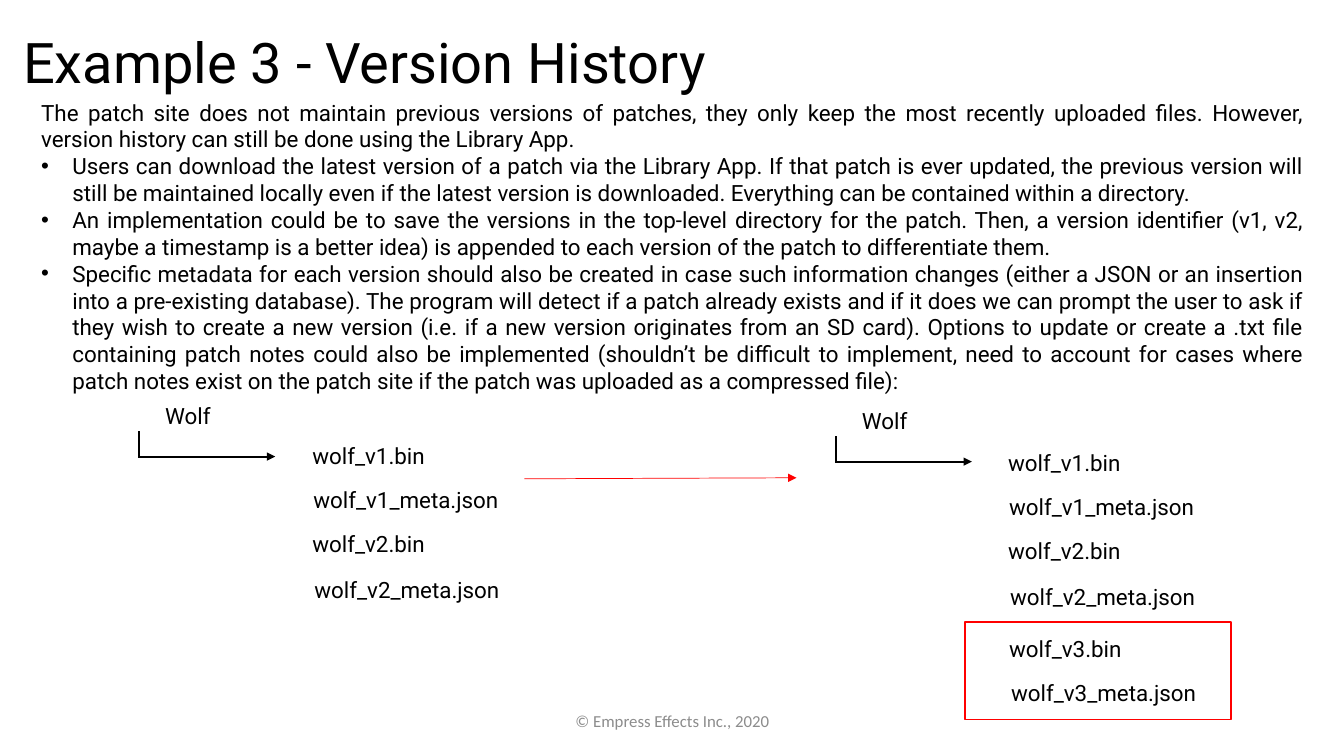
from dataclasses import dataclass

import pptx
import pptx.dml.color
import pptx.enum.shapes
import pptx.enum.text
import pptx.oxml.ns
import pptx.util
from lxml import etree

Inches = pptx.util.Inches
Align = pptx.enum.text.PP_ALIGN
Anchor = pptx.enum.text.MSO_ANCHOR
qn = pptx.oxml.ns.qn


@dataclass(frozen=True)
class Theme:
    font: str = "Roboto"
    footer_font: str = "Calibri"
    ink: str = "000000"
    accent: str = "FF0000"
    muted: str = "8C8C8C"
    title_size: int = 40
    body_size: int = 16
    footer_size: int = 12


THEME = Theme()

INTRO = (
    "The patch site does not maintain previous versions of patches, they only keep the "
    "most recently uploaded files. However, version history can still be done using "
    "the Library App."
)
BULLETS = [
    "Users can download the latest version of a patch via the Library App. If that "
    "patch is ever updated, the previous version will still be maintained locally even "
    "if the latest version is downloaded. Everything can be contained within a directory.",
    "An implementation could be to save the versions in the top-level directory for the "
    "patch. Then, a version identifier (v1, v2, maybe a timestamp is a better idea) is "
    "appended to each version of the patch to differentiate them.",
    "Specific metadata for each version should also be created in case such information "
    "changes (either a JSON or an insertion into a pre-existing database). The program "
    "will detect if a patch already exists and if it does we can prompt the user to ask "
    "if they wish to create a new version (i.e. if a new version originates from an SD "
    "card). Options to update or create a .txt file containing patch notes could also be "
    "implemented (shouldn’t be difficult to implement, need to account for cases where "
    "patch notes exist on the patch site if the patch was uploaded as a compressed file):",
]
FILES = [
    ("wolf_v1.bin", 0, 0, 1.52),
    ("wolf_v1_meta.json", 0.01, 0.43, 2.29),
    ("wolf_v2.bin", 0, 0.87, 1.52),
    ("wolf_v2_meta.json", 0.02, 1.33, 2.29),
    ("wolf_v3.bin", 0.01, 1.84, 1.52),
    ("wolf_v3_meta.json", 0.03, 2.28, 2.29),
]


def rgb(color):
    return pptx.dml.color.RGBColor.from_string(color)


def format_paragraph(p, size=THEME.body_size, color=THEME.ink, font=THEME.font,
                     align=Align.LEFT):
    p.alignment = align
    for r in p.runs:
        r.font.size = pptx.util.Pt(size)
        r.font.name = font
        r.font.color.rgb = rgb(color)


def place(sp, left, top, width, height):
    sp.left, sp.top = Inches(left), Inches(top)
    sp.width, sp.height = Inches(width), Inches(height)


def add_title(s, text):
    sp = s.shapes.title
    place(sp, 0.13, 0.22, 13.08, 0.77)
    tf = sp.text_frame
    tf.text = text
    tf.word_wrap = True
    tf.auto_size = pptx.enum.text.MSO_AUTO_SIZE.NONE
    tf.vertical_anchor = Anchor.TOP
    format_paragraph(tf.paragraphs[0], THEME.title_size)


def add_text(s, text, left, top, width, height=0.37, anchor=Anchor.TOP, **style):
    sp = s.shapes.add_textbox(Inches(left), Inches(top), Inches(width), Inches(height))
    tf = sp.text_frame
    tf.word_wrap = True
    tf.vertical_anchor = anchor
    tf.text = text
    format_paragraph(tf.paragraphs[0], **style)
    return tf


def add_bullet(tf, text):
    p = tf.add_paragraph()
    p.text = text
    pPr = p._p.get_or_add_pPr()
    pPr.set("marL", str(Inches(0.31)))
    pPr.set("indent", str(-Inches(0.31)))
    etree.SubElement(pPr, qn("a:buFont")).set("typeface", "Arial")
    etree.SubElement(pPr, qn("a:buChar")).set("char", "•")
    format_paragraph(p, align=Align.JUSTIFY)


def add_line(s, x1, y1, x2, y2, color, width, arrow=False):
    line = s.shapes.add_connector(
        pptx.enum.shapes.MSO_CONNECTOR.STRAIGHT,
        Inches(x1), Inches(y1), Inches(x2), Inches(y2))
    line.line.color.rgb = rgb(color)
    line.line.width = pptx.util.Pt(width)
    if arrow:
        ln = line.line._get_or_add_ln()
        etree.SubElement(ln, qn("a:tailEnd")).set("type", "triangle")
    etree.SubElement(line._element.spPr, qn("a:effectLst"))


def add_folder(s, name, left, top):
    add_text(s, name, left + 0.16, top, 1.52)
    add_line(s, left, top + 0.34, left, top + 0.6, THEME.ink, 1.5)
    add_line(s, left, top + 0.59, left + 1.35, top + 0.59, THEME.ink, 1.5, arrow=True)


def add_files(s, files, left, top):
    for name, dx, dy, width in files:
        add_text(s, name, left + dx, top + dy, width)


def add_frame(s, left, top, width, height):
    sp = s.shapes.add_shape(
        pptx.enum.shapes.MSO_SHAPE.RECTANGLE,
        Inches(left), Inches(top), Inches(width), Inches(height))
    sp.shadow.inherit = False
    sp.fill.background()
    sp.line.color.rgb = rgb(THEME.accent)
    sp.line.width = pptx.util.Pt(1)


def main():
    prs = pptx.Presentation()
    prs.slide_width, prs.slide_height = Inches(13.33), Inches(7.5)
    s = prs.slides.add_slide(prs.slide_layouts.get_by_name("Title Only"))

    add_title(s, "Example 3 - Version History")
    tf = add_text(s, INTRO, 0.31, 0.93, 12.72, 3.67, align=Align.JUSTIFY)
    for text in BULLETS:
        add_bullet(tf, text)

    add_folder(s, "Wolf", 1.38, 3.94)
    add_files(s, FILES[:4], 3, 4.34)
    add_line(s, 5.2, 4.75, 7.9, 4.74, THEME.accent, 0.5, arrow=True)
    add_folder(s, "Wolf", 8.29, 3.99)
    add_files(s, FILES, 9.9, 4.41)
    add_frame(s, 9.57, 6.17, 2.64, 0.97)

    add_text(s, "© Empress Effects Inc., 2020", 4.42, 6.95, 4.5, 0.4, Anchor.MIDDLE,
             size=THEME.footer_size, color=THEME.muted, font=THEME.footer_font,
             align=Align.CENTER)
    prs.save("out.pptx")


if __name__ == "__main__":
    main()
